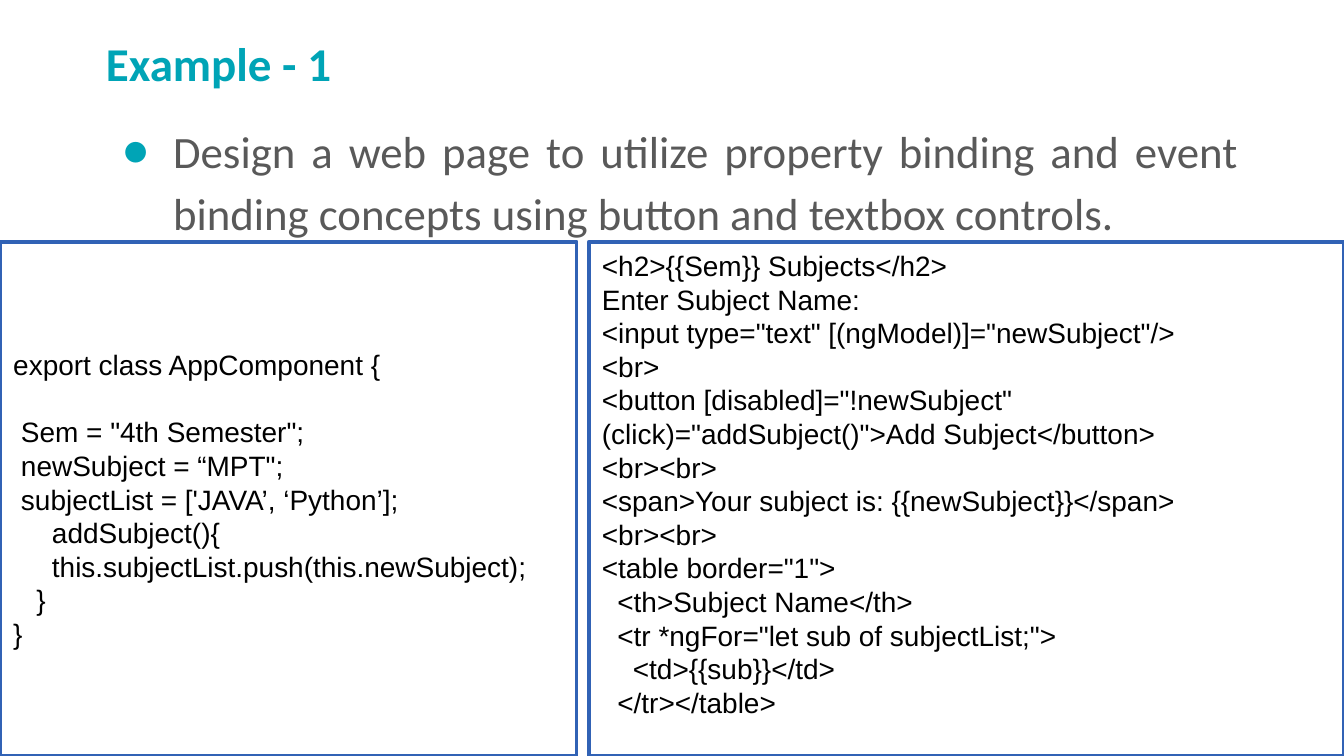
"""Build the slide on property and event binding with two code panels."""
from lxml.etree import SubElement
from pptx import Presentation
from pptx.dml.color import RGBColor as RGB
from pptx.enum.shapes import MSO_SHAPE as Shape
from pptx.enum.text import MSO_ANCHOR as Anchor, PP_ALIGN as Align
from pptx.oxml.ns import qn
from pptx.util import Inches, Pt

TITLE = "Example - 1"
TASK = ("Design a web page to utilize property binding and event binding "
        "concepts using button and textbox controls.")
COMPONENT_CODE = [
    "export class AppComponent {",
    ' Sem = "4th Semester";',
    ' newSubject = “MPT";',
    " subjectList = ['JAVA’, ‘Python’];",
    "     addSubject(){",
    "     this.subjectList.push(this.newSubject);",
    "   }",
    "}",
]
TEMPLATE_CODE = [
    "<h2>{{Sem}} Subjects</h2>",
    "Enter Subject Name:",
    '<input type="text" [(ngModel)]="newSubject"/>',
    "<br>",
    '<button [disabled]="!newSubject" (click)="addSubject()">Add Subject</button>',
    "<br><br>",
    "<span>Your subject is: {{newSubject}}</span>",
    "<br><br>",
    '<table border="1">',
    "  <th>Subject Name</th>",
    '  <tr *ngFor="let sub of subjectList;">',
    "    <td>{{sub}}</td>",
    "  </tr></table>",
]

THEME = {
    "accent": "00A4B6", "body": "595959", "code": "000000",
    "panel": "FFFFFF", "border": "3162B5",
    "text_font": "Calibri", "code_font": "Arial",
    "title_size": 25.2, "body_size": 24, "code_size": 15, "code_gap": 18,
}
WIDTH = 10
HEIGHT = WIDTH * 9 / 16
MARGIN, TITLE_TOP, BODY_TOP, BODY_HEIGHT = 0.69, 0.16, 0.76, 4.71
PANEL_TOP, LEFT_PANEL_WIDTH, PANEL_GAP = 1.8, 4.29, 0.09


def color(name):
    return RGB.from_string(THEME[name])


def style(paragraph, family, size, ink, bold=False):
    font = paragraph.font
    font.name, font.size, font.bold = THEME[family], Pt(THEME[size]), bold
    font.color.rgb = color(ink)


def add_text(slide, text, top, height):
    box = slide.shapes.add_textbox(
        Inches(MARGIN), Inches(top), Inches(WIDTH - 2 * MARGIN), Inches(height))
    frame = box.text_frame
    frame.word_wrap = True
    frame.margin_left = frame.margin_right = Inches(0.1)
    frame.margin_top = frame.margin_bottom = Inches(0.1)
    paragraph = frame.paragraphs[0]
    paragraph.text = text
    return paragraph


def add_bullet(paragraph):
    properties = paragraph._p.get_or_add_pPr()
    properties.set("marL", str(Inches(0.5)))
    properties.set("indent", str(Inches(-0.38)))
    bullet_color = SubElement(properties, qn("a:buClr"))
    SubElement(bullet_color, qn("a:srgbClr"), val=THEME["accent"])
    SubElement(properties, qn("a:buFont"), typeface=THEME["text_font"])
    SubElement(properties, qn("a:buChar"), char="●")


def add_code_panel(slide, lines, left, width, anchor, gap_before=None):
    panel = slide.shapes.add_shape(
        Shape.RECTANGLE, Inches(left), Inches(PANEL_TOP),
        Inches(width), Inches(HEIGHT - PANEL_TOP))
    panel.shadow.inherit = False
    panel.fill.solid()
    panel.fill.fore_color.rgb = color("panel")
    panel.line.color.rgb = color("border")
    panel.line.width = Pt(2)
    frame = panel.text_frame
    frame.word_wrap = True
    frame.vertical_anchor = anchor
    for index, line in enumerate(lines):
        paragraph = frame.add_paragraph() if index else frame.paragraphs[0]
        paragraph.text = line
        paragraph.alignment = Align.LEFT
        if index == gap_before:
            paragraph.space_before = Pt(THEME["code_gap"])
        style(paragraph, "code_font", "code_size", "code")


def main():
    presentation = Presentation()
    presentation.slide_width, presentation.slide_height = Inches(WIDTH), Inches(HEIGHT)
    slide = presentation.slides.add_slide(presentation.slide_layouts[6])

    title = add_text(slide, TITLE, TITLE_TOP, BODY_TOP - TITLE_TOP)
    style(title, "text_font", "title_size", "accent", bold=True)

    task = add_text(slide, TASK, BODY_TOP, BODY_HEIGHT)
    task.alignment = Align.JUSTIFY
    task.line_spacing = 1.15
    add_bullet(task)
    style(task, "text_font", "body_size", "body")

    right = LEFT_PANEL_WIDTH + PANEL_GAP
    add_code_panel(slide, COMPONENT_CODE, 0, LEFT_PANEL_WIDTH, Anchor.MIDDLE, gap_before=1)
    add_code_panel(slide, TEMPLATE_CODE, right, WIDTH - right, Anchor.TOP)
    presentation.save("out.pptx")


if __name__ == "__main__":
    main()
